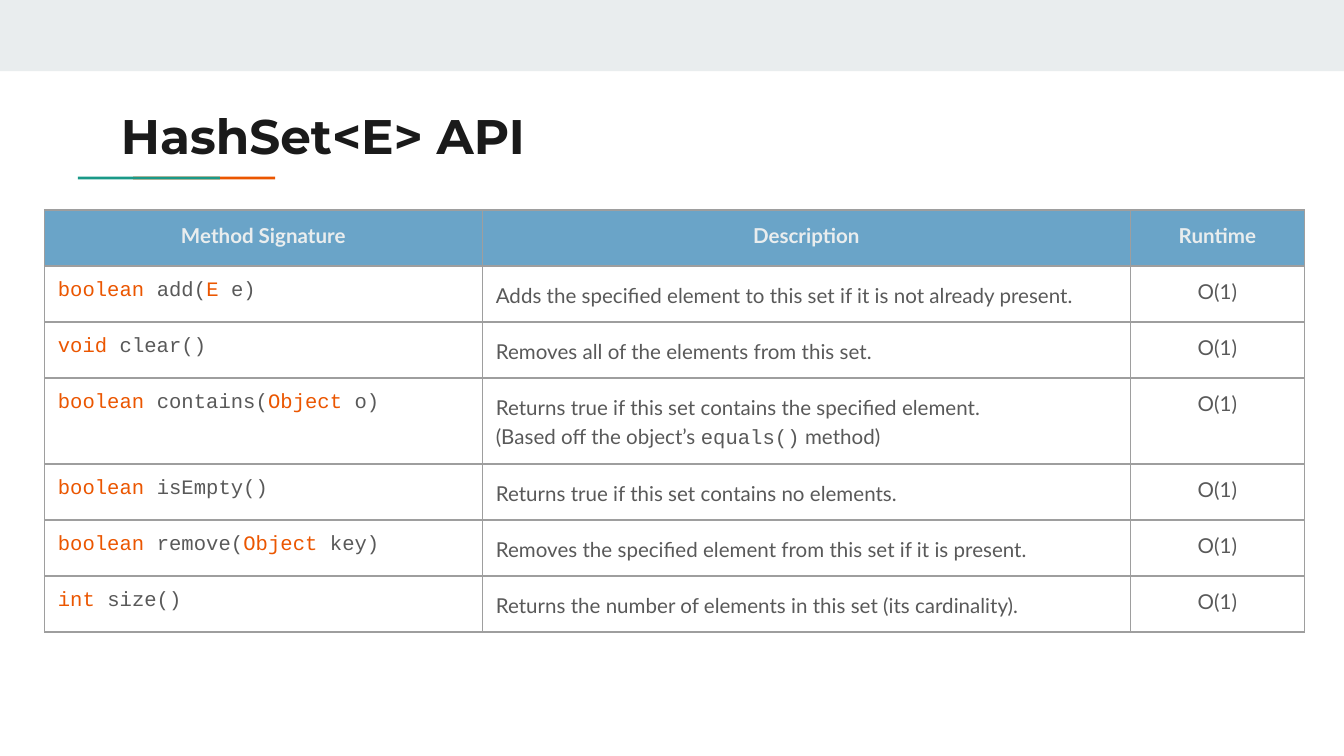
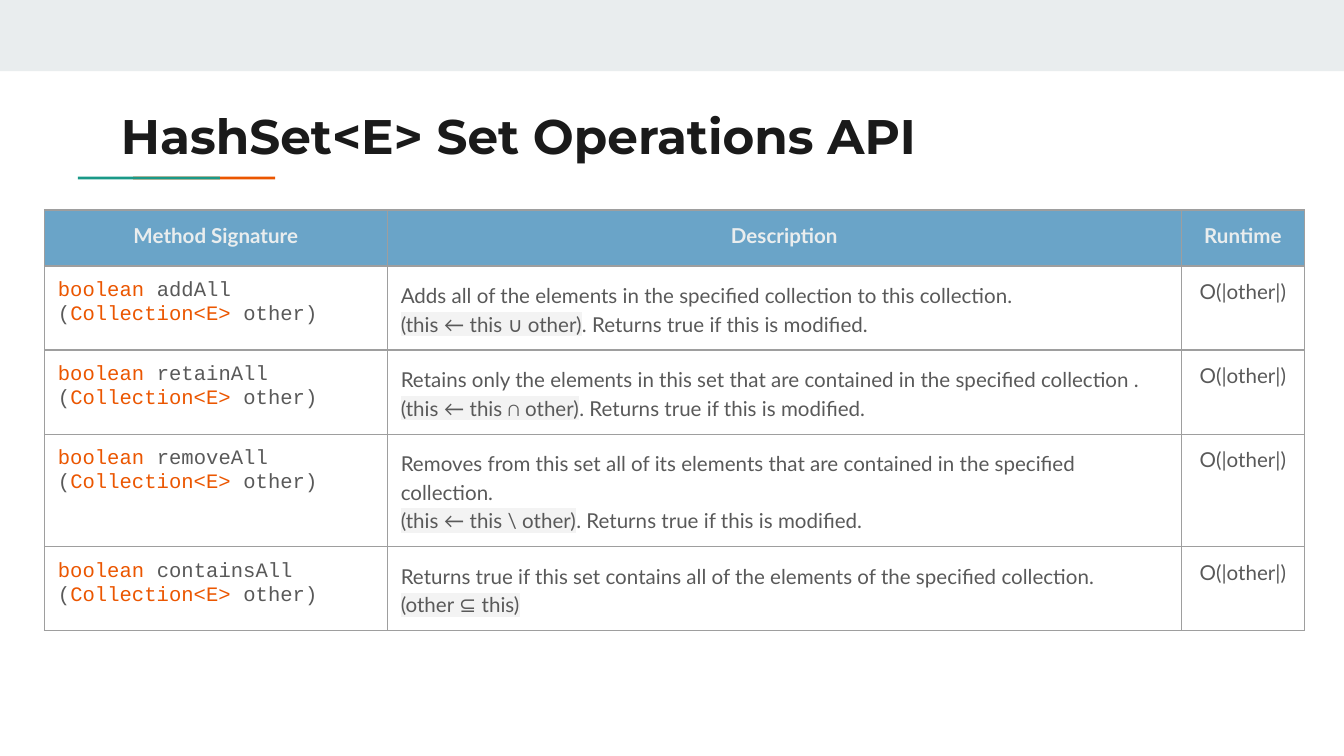
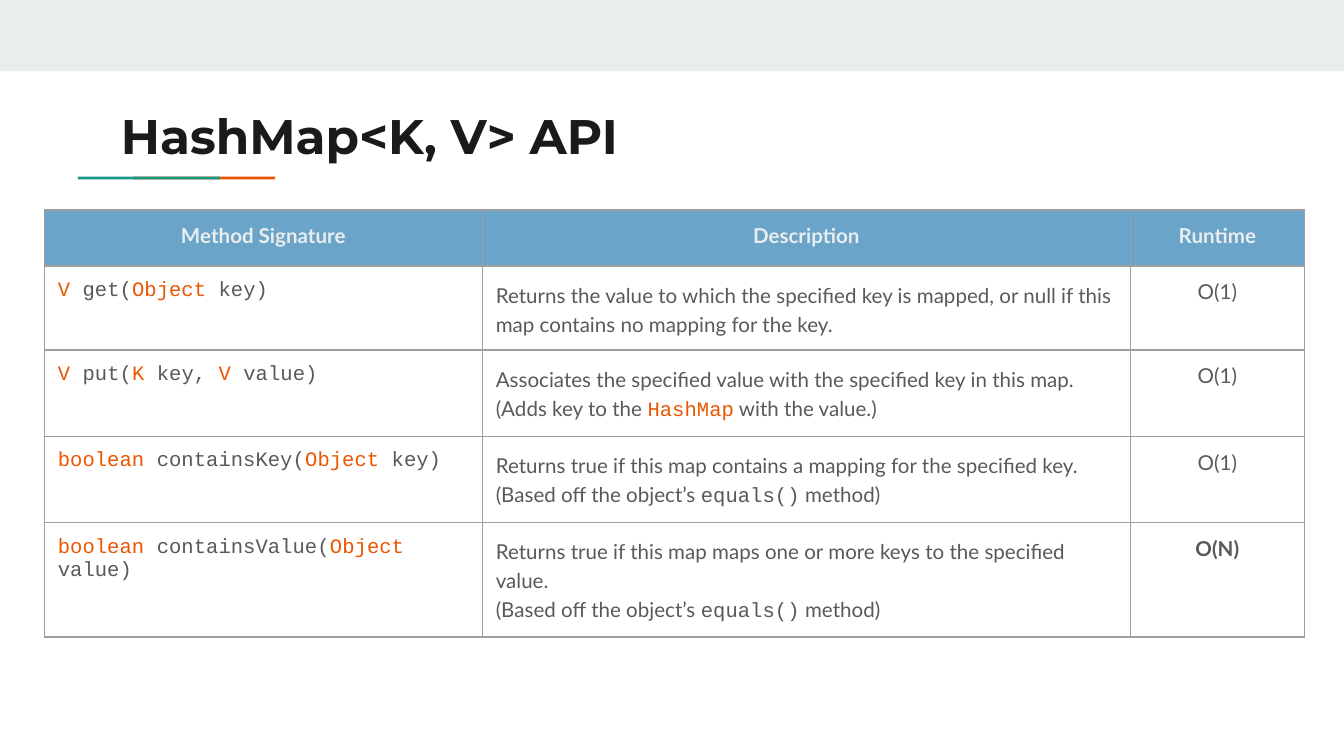
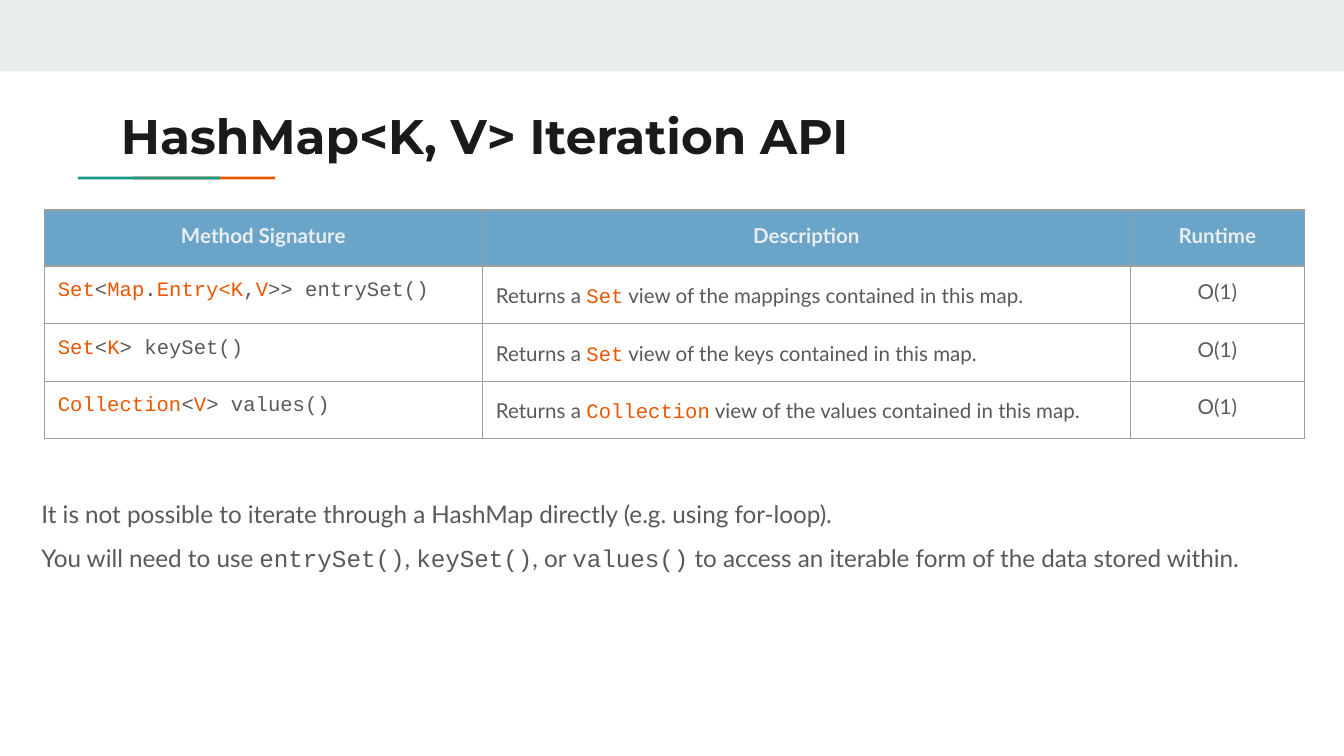
from lxml import etree
from pptx import Presentation
from pptx.dml import color
from pptx.enum import shapes, text
from pptx.oxml import ns
from pptx.util import Pt

# Shared look
INK, GREY, ORANGE, GREEN = "1A1A1A", "595959", "EB5600", "1A9988"
PALE, BLUE, RULE, SHADE = "E9EDEE", "6AA4C8", "9E9E9E", "F3F3F3"
TITLE_FONT, BODY_FONT, CODE_FONT = "Montserrat", "Lato", "Courier New"
MARGIN = 7.2
ROW_HEIGHT = 30
SLIDE_SIZE = (720, 405)
TITLE_BOX = (57.6, 49.7, 605.5, 42.5)
ACCENT_BOX = (41.8, 94.6, 105.6, 1.6)
TABLE_ORIGIN = (23.8, 112.5)
NOTE_BOX = (15.1, 252.7, 674.6, 67.7)
WIDE_SIGNATURE = (234.6, 347.2, 93.2)
WIDE_DESCRIPTION = (183.7, 425.4, 65.9)
HEADERS = ("Method Signature", "Description", "Runtime")

# Marks in the texts: ~type~, `code`, ^shaded^, *bold*
MARKS = "~`^*"

BASED_ON_EQUALS = "\n(Based off the object’s `equals()` method)"
OTHER = "\n(~Collection<E>~ other)"
IF_MODIFIED = ". Returns true if this is modified."

HASH_SET = [
    ("~boolean~ add(~E~ e)",
     "Adds the specified element to this set if it is not already present.", "O(1)"),
    ("~void~ clear()", "Removes all of the elements from this set.", "O(1)"),
    ("~boolean~ contains(~Object~ o)",
     "Returns true if this set contains the specified element." + BASED_ON_EQUALS, "O(1)"),
    ("~boolean~ isEmpty()", "Returns true if this set contains no elements.", "O(1)"),
    ("~boolean~ remove(~Object~ key)",
     "Removes the specified element from this set if it is present.", "O(1)"),
    ("~int~ size()",
     "Returns the number of elements in this set (its cardinality).", "O(1)"),
]
SET_OPERATIONS = [
    ("~boolean~ addAll" + OTHER,
     "Adds all of the elements in the specified collection to this collection.\n"
     "^(this ← this ∪ other)^" + IF_MODIFIED, "O(|other|)"),
    ("~boolean~ retainAll" + OTHER,
     "Retains only the elements in this set that are contained in the specified collection .\n"
     "^(this ← this ∩ other)^" + IF_MODIFIED, "O(|other|)"),
    ("~boolean~ removeAll" + OTHER,
     "Removes from this set all of its elements that are contained in the specified "
     "collection.\n^(this ← this \\ other)^" + IF_MODIFIED, "O(|other|)"),
    ("~boolean~ containsAll" + OTHER,
     "Returns true if this set contains all of the elements of the specified collection.\n"
     "^(other ⊆ this)^", "O(|other|)"),
]
HASH_MAP = [
    ("~V~ get(~Object~ key)",
     "Returns the value to which the specified key is mapped, or null if this map "
     "contains no mapping for the key.", "O(1)"),
    ("~V~ put(~K~ key, ~V~ value)",
     "Associates the specified value with the specified key in this map.\n"
     "(Adds key to the ~HashMap~ with the value.)", "O(1)"),
    ("~boolean~ containsKey(~Object~ key)",
     "Returns true if this map contains a mapping for the specified key."
     + BASED_ON_EQUALS, "O(1)"),
    ("~boolean~ containsValue(~Object~ value)",
     "Returns true if this map maps one or more keys to the specified value."
     + BASED_ON_EQUALS, "*O(N)*"),
]
ITERATION = [
    ("~Set~<~Map~.~Entry<K~,~V~>> entrySet()",
     "Returns a ~Set~ view of the mappings contained in this map.", "O(1)"),
    ("~Set~<~K~> keySet()",
     "Returns a ~Set~ view of the keys contained in this map.", "O(1)"),
    ("~Collection~<~V~> values()",
     "Returns a ~Collection~ view of the values contained in this map.", "O(1)"),
]
NOTE = ("It is not possible to iterate through a HashMap directly (e.g. using for-loop).\n"
        "You will need to use `entrySet()`, `keySet()`, or `values()` to access an "
        "iterable form of the data stored within.")


def rgb(value):
    return color.RGBColor.from_string(value)


def add_xml_color(parent, tag, value):
    """Append an element that holds one plain colour."""
    element = etree.SubElement(parent, ns.qn(tag))
    etree.SubElement(element, ns.qn("a:srgbClr"), val=value)


def set_font(font, name, size, colour, bold=False):
    font.name, font.size, font.bold = name, Pt(size), bold
    font.color.rgb = rgb(colour)


def set_margins(holder):
    holder.margin_left = holder.margin_right = Pt(MARGIN)
    holder.margin_top = holder.margin_bottom = Pt(MARGIN)


def split_marks(marked):
    """Yield (mark, words) for each stretch of marked text."""
    mark, words = "", ""
    for character in marked:
        if character in MARKS:
            if words:
                yield mark, words
            mark, words = ("" if mark else character), ""
        else:
            words += character
    if words:
        yield mark, words


def add_run(paragraph, mark, words):
    run = paragraph.add_run()
    run.text = words
    if mark == "~":
        run.font.color.rgb = rgb(ORANGE)
    if mark == "^":
        run.font.color.rgb = rgb(GREY)
        add_xml_color(run.font._element, "a:highlight", SHADE)
    if mark in ("~", "`"):
        run.font.name = CODE_FONT
    if mark == "*":
        run.font.bold = True


def write(frame, marked, font=BODY_FONT, size=11, colour=GREY, bold=False,
          align=text.PP_ALIGN.LEFT, spacing=1.0):
    for index, line in enumerate(marked.split("\n")):
        paragraph = frame.add_paragraph() if index else frame.paragraphs[0]
        paragraph.alignment, paragraph.line_spacing = align, spacing
        set_font(paragraph.font, font, size, colour, bold)
        for mark, words in split_marks(line):
            add_run(paragraph, mark, words)


def add_bar(slide, left, top, width, height, colour):
    bar = slide.shapes.add_shape(shapes.MSO_SHAPE.RECTANGLE,
                                 Pt(left), Pt(top), Pt(width), Pt(height))
    bar.shadow.inherit = False
    bar.fill.solid()
    bar.fill.fore_color.rgb = rgb(colour)
    bar.line.fill.background()


def add_accent(slide, left, top, width, height):
    """Two-colour rule under the title, the green bar over the orange one."""
    bar_width = 0.72 * width
    add_bar(slide, left + width - bar_width, top, bar_width, height, ORANGE)
    add_bar(slide, left, top, bar_width, height, GREEN)


def set_title(slide, left, top, width, height, words):
    title = slide.shapes.title
    title.left, title.top, title.width, title.height = map(Pt, (left, top, width, height))
    frame = title.text_frame
    frame.auto_size = text.MSO_AUTO_SIZE.NONE
    frame.vertical_anchor = text.MSO_ANCHOR.TOP
    frame.word_wrap = True
    set_margins(frame)
    write(frame, words, TITLE_FONT, 26, INK, bold=True)


def style_cell(cell, fill=None):
    set_margins(cell)
    properties = cell._tc.get_or_add_tcPr()
    for side in ("a:lnL", "a:lnR", "a:lnT", "a:lnB"):
        line = etree.SubElement(properties, ns.qn(side), w=str(Pt(0.75)))
        add_xml_color(line, "a:solidFill", RULE)
    if fill:
        cell.fill.solid()
        cell.fill.fore_color.rgb = rgb(fill)
    else:
        cell.fill.background()


def add_method_table(slide, left, top, widths, methods):
    row_count = len(methods) + 1
    table = slide.shapes.add_table(row_count, len(widths), Pt(left), Pt(top), Pt(sum(widths)),
                                   Pt(ROW_HEIGHT * row_count)).table
    table.horz_banding = False
    for column, width in zip(table.columns, widths):
        column.width = Pt(width)

    # Header row
    for cell, header in zip(table.rows[0].cells, HEADERS):
        style_cell(cell, BLUE)
        write(cell.text_frame, header, colour=PALE, bold=True, align=text.PP_ALIGN.CENTER)

    # One row for each method
    column_styles = ({"font": CODE_FONT}, {"spacing": 1.15}, {"align": text.PP_ALIGN.CENTER})
    for row, method in enumerate(methods, 1):
        for column, (words, style) in enumerate(zip(method, column_styles)):
            cell = table.cell(row, column)
            style_cell(cell)
            write(cell.text_frame, words, **style)


def add_note(slide, left, top, width, height, words):
    frame = slide.shapes.add_textbox(Pt(left), Pt(top), Pt(width), Pt(height)).text_frame
    frame.word_wrap = True
    set_margins(frame)
    write(frame, words, size=13, spacing=1.5)


def add_api_slide(presentation, title, widths, methods):
    slide = presentation.slides.add_slide(presentation.slide_layouts[5])
    add_bar(slide, 0, 0, SLIDE_SIZE[0], 38.2, PALE)
    add_accent(slide, *ACCENT_BOX)
    set_title(slide, *TITLE_BOX, title)
    add_method_table(slide, *TABLE_ORIGIN, widths, methods)
    return slide


presentation = Presentation()
presentation.slide_width, presentation.slide_height = map(Pt, SLIDE_SIZE)

add_api_slide(presentation, "HashSet<E> API", WIDE_SIGNATURE, HASH_SET)
add_api_slide(presentation, "HashSet<E> Set Operations API", WIDE_DESCRIPTION, SET_OPERATIONS)
add_api_slide(presentation, "HashMap<K, V> API", WIDE_SIGNATURE, HASH_MAP)
iteration_slide = add_api_slide(presentation, "HashMap<K, V> Iteration API",
                                WIDE_SIGNATURE, ITERATION)
add_note(iteration_slide, *NOTE_BOX, NOTE)

presentation.save("out.pptx")
